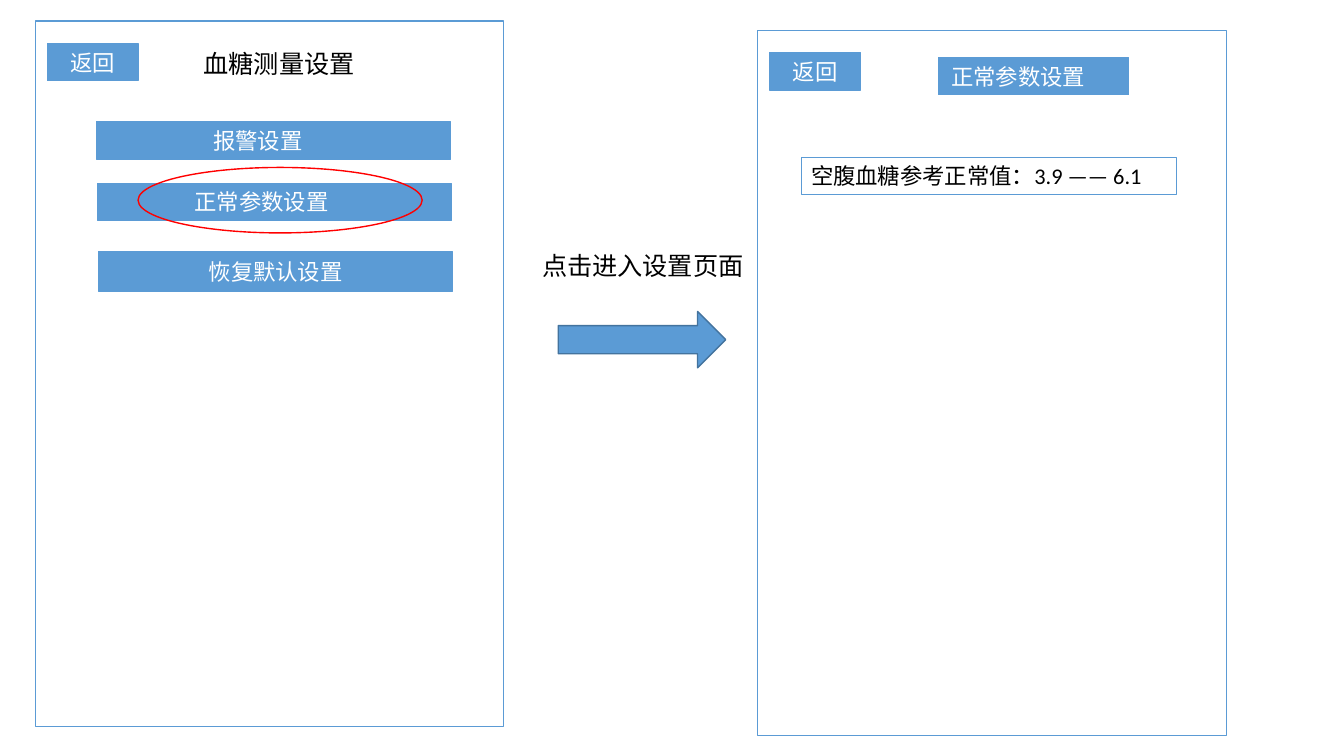
import lxml.etree
import pptx
import pptx.dml.color
import pptx.enum.shapes
import pptx.enum.text
import pptx.oxml.ns
import pptx.util

Cm = pptx.util.Cm
Pt = pptx.util.Pt
Shape = pptx.enum.shapes.MSO_SHAPE
Align = pptx.enum.text.PP_ALIGN
RGBColor = pptx.dml.color.RGBColor

BLUE = RGBColor(0x5B, 0x9B, 0xD5)
NAVY = RGBColor(0x43, 0x73, 0x9E)
RED = RGBColor(0xFF, 0x00, 0x00)
WHITE = RGBColor(0xFF, 0xFF, 0xFF)
BLACK = RGBColor(0x00, 0x00, 0x00)
HAN = "Noto Sans CJK SC"

deck = pptx.Presentation()
deck.slide_width = Cm(33.87)
deck.slide_height = Cm(19.05)
slide = deck.slides.add_slide(deck.slide_layouts[5])


def draw(kind, left, top, width, height, fill=None, line=BLUE, weight=0.75):
    shape = slide.shapes.add_shape(kind, Cm(left), Cm(top), Cm(width), Cm(height))
    shape.shadow.inherit = False
    if fill is None:
        shape.fill.background()
    else:
        shape.fill.solid()
        shape.fill.fore_color.rgb = fill
    shape.line.color.rgb = line
    shape.line.width = Pt(weight)
    return shape


def write(shape, text, size=16, color=WHITE, align=Align.CENTER, font="Calibri",
          wrap=True, shift=0):
    """Put text in a shape; shift widens the right inset, in cm."""
    frame = shape.text_frame
    frame.word_wrap = wrap
    frame.auto_size = pptx.enum.text.MSO_AUTO_SIZE.NONE
    frame.vertical_anchor = pptx.enum.text.MSO_ANCHOR.MIDDLE
    frame.margin_left = Cm(0.25)
    frame.margin_right = Cm(0.25 + shift)
    frame.margin_top = frame.margin_bottom = Cm(0.13)
    para = frame.paragraphs[0]
    para.alignment = align
    run = para.add_run()
    run.text = text
    run.font.size = Pt(size)
    run.font.color.rgb = color
    run.font.name = font
    props = run.font._element
    lxml.etree.SubElement(props, pptx.oxml.ns.qn("a:ea"), typeface=HAN)


# Two phone screens, each with its back button
for left, top in [(0.89, 0.53), (19.1, 0.76)]:
    draw(Shape.RECTANGLE, left, top, 11.81, 17.78)
    back = draw(Shape.RECTANGLE, left + 0.3, top + 0.57, 2.29, 0.94, fill=BLUE)
    write(back, "返回")

# Left screen: title and menu
title = slide.shapes.title
title.left, title.top, title.width, title.height = Cm(4.88), Cm(1.09), Cm(5.41), Cm(1.02)
write(title, "血糖测量设置", size=18, color=BLACK, align=Align.LEFT)

menu = [
    (2.44, 3.07, 0.94, "报警设置", "Calibri", 0.8),
    (2.46, 4.62, 0.94, "正常参数设置", "Calibri", 0.66),
    (2.49, 6.35, 0.99, "恢复默认设置", HAN, 0),
]
for left, top, height, text, font, shift in menu:
    item = draw(Shape.RECTANGLE, left, top, 8.92, height, fill=BLUE)
    write(item, text, font=font, shift=shift)

draw(Shape.OVAL, 3.48, 4.22, 7.16, 1.65, line=RED, weight=1)

# Step between the screens
draw(Shape.RIGHT_ARROW, 14.07, 7.85, 4.22, 1.42, fill=BLUE, line=NAVY, weight=1)
label = slide.shapes.add_textbox(Cm(13.41), Cm(6.17), Cm(5.59), Cm(1.02))
write(label, "点击进入设置页面", size=18, color=BLACK, align=Align.LEFT, wrap=False)

# Right screen: heading and value
head = draw(Shape.RECTANGLE, 23.65, 1.45, 4.8, 0.94, fill=BLUE)
write(head, "正常参数设置", shift=0.78)
value = draw(Shape.RECTANGLE, 20.19, 3.96, 9.45, 0.94)
write(value, "空腹血糖参考正常值：3.9 —— 6.1", color=BLACK, align=Align.LEFT)

deck.save("out.pptx")
